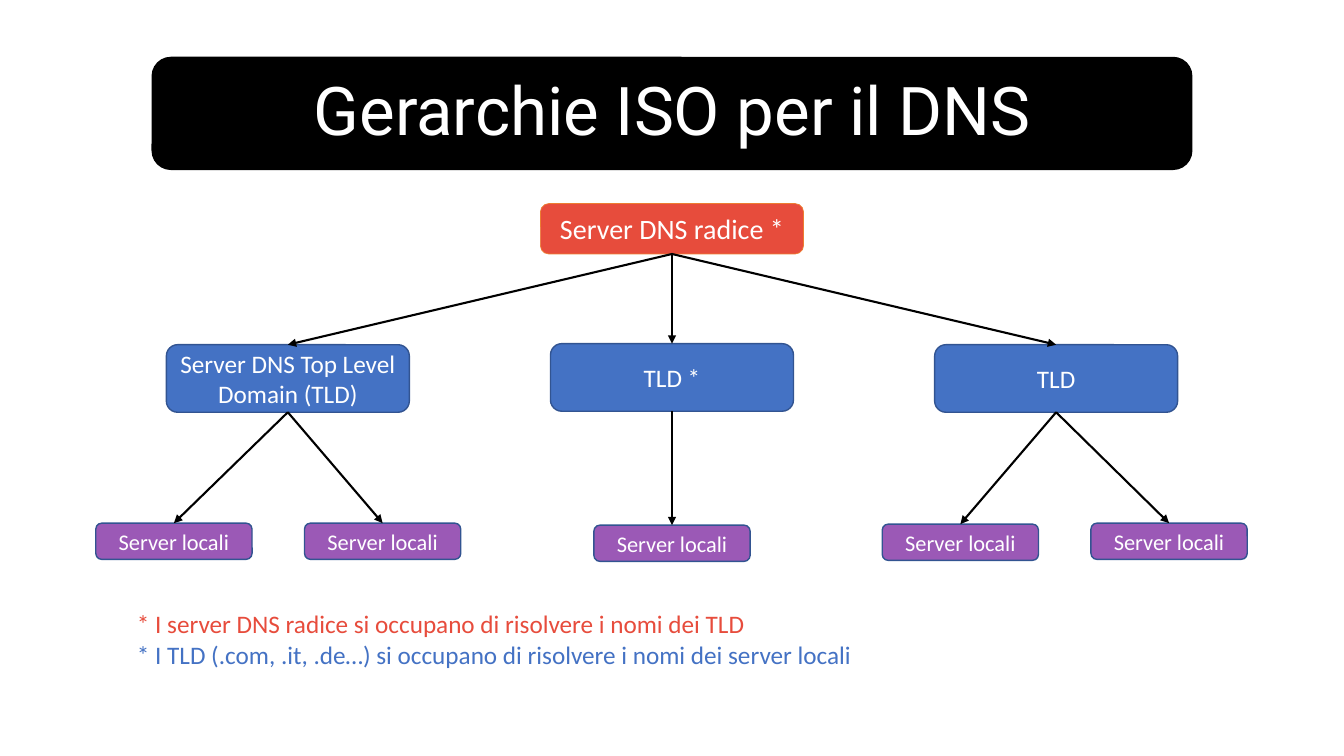
from dataclasses import dataclass

from lxml import etree
from pptx import Presentation
from pptx import util as u
from pptx.dml.color import RGBColor
from pptx.enum import shapes, text
from pptx.oxml import ns


@dataclass(frozen=True)
class Theme:
    black: str = "000000"
    white: str = "FFFFFF"
    red: str = "E74C3C"
    orange: str = "ED7D31"
    blue: str = "4472C4"
    navy: str = "325491"
    purple: str = "9B59B6"
    title_font: str = "Roboto"
    body_font: str = "Calibri"
    title_size: int = 48
    root_size: int = 20
    body_size: int = 18
    local_size: int = 16


THEME = Theme()


@dataclass(frozen=True)
class Level:
    """Size, colours and type of the boxes on one level of the tree."""
    width: float
    height: float
    fill: str
    line: str
    line_width: float
    size: int


ROOT = Level(2.61, 0.5, THEME.red, THEME.orange, 0.5, THEME.root_size)
TLD = Level(2.41, 0.67, THEME.blue, THEME.navy, 1, THEME.body_size)
LOCAL = Level(1.55, 0.36, THEME.purple, THEME.navy, 1, THEME.local_size)

# Each domain: label, offset of its top, then (centre offset, top offset) of its local servers
DOMAINS = [
    ("Server DNS Top Level Domain (TLD)", 1.4, [(-1.13, 3.17), (0.94, 3.17)]),
    ("TLD *", 1.39, [(0, 3.19)]),
    ("TLD", 1.4, [(-0.95, 3.18), (1.12, 3.17)]),
]
NOTES = [
    ("* I server DNS radice si occupano di risolvere i nomi dei TLD", THEME.red),
    ("* I TLD (.com, .it, .de…) si occupano di risolvere i nomi dei server locali", THEME.blue),
]


def write(p, words, size, color, font=THEME.body_font, **paragraph_format):
    for name, value in paragraph_format.items():
        setattr(p, name, value)
    r = p.add_run()
    r.text = words
    for name, value in {"name": font, "size": u.Pt(size)}.items():
        setattr(r.font, name, value)
    r.font.color.rgb = RGBColor.from_string(color)


def add_round_box(s, left, top, width, height, fill, line, line_width):
    sp = s.shapes.add_shape(shapes.MSO_SHAPE.ROUNDED_RECTANGLE,
                            *map(u.Inches, (left, top, width, height)))
    sp.shadow.inherit = False
    sp.fill.solid()
    sp.fill.fore_color.rgb = RGBColor.from_string(fill)
    sp.line.color.rgb = RGBColor.from_string(line)
    sp.line.width = u.Pt(line_width)
    return sp


def add_node(s, level, center, top, label):
    sp = add_round_box(s, center - level.width / 2, top, level.width, level.height,
                       level.fill, level.line, level.line_width)
    tf = sp.text_frame
    tf.word_wrap = True
    tf.vertical_anchor = text.MSO_ANCHOR.MIDDLE
    write(tf.paragraphs[0], label, level.size, THEME.white, alignment=text.PP_ALIGN.CENTER)
    return sp


def add_arrow(s, parent, child):
    """Join the bottom of the parent to the top of the child."""
    line = s.shapes.add_connector(shapes.MSO_CONNECTOR.STRAIGHT, 0, 0, 0, 0)
    line.begin_connect(parent, 2)
    line.end_connect(child, 0)
    line.line.color.rgb = RGBColor.from_string(THEME.black)
    line.line.width = u.Pt(1.5)
    etree.SubElement(line.line._get_or_add_ln(), ns.qn("a:tailEnd"), type="triangle")
    etree.SubElement(line.element.spPr, ns.qn("a:effectLst"))


def add_title(s, left, top, width, height):
    """Place the title over a black bar inset in its box."""
    title = s.shapes.title
    box = {"left": left, "top": top, "width": width, "height": height}
    for name, value in box.items():
        setattr(title, name, u.Inches(value))
    bar = add_round_box(s, left + 0.59, top + 0.17, width - 1.19, height - 0.34,
                        THEME.black, THEME.black, 1)
    title.element.addprevious(bar.element)
    tf = title.text_frame
    tf.auto_size = text.MSO_AUTO_SIZE.NONE
    tf.vertical_anchor = text.MSO_ANCHOR.MIDDLE
    write(tf.paragraphs[0], "Gerarchie ISO per il DNS", THEME.title_size, THEME.white,
          THEME.title_font, alignment=text.PP_ALIGN.CENTER, line_spacing=0.9)


def add_tree(s, left, top, width):
    """Place the root at the top centre and the domains at equal steps."""
    center = left + width / 2
    step = 3.81
    links = []
    root = add_node(s, ROOT, center, top, "Server DNS radice *")
    for i, (label, drop, local_servers) in enumerate(DOMAINS):
        x = center + (i - 1) * step
        domain = add_node(s, TLD, x, top + drop, label)
        links.append((root, domain))
        for dx, dy in local_servers:
            links.append((domain, add_node(s, LOCAL, x + dx, top + dy, "Server locali")))
    for parent, child in links:
        add_arrow(s, parent, child)


def add_notes(s, left, top, width, height):
    tf = s.shapes.add_textbox(*map(u.Inches, (left, top, width, height))).text_frame
    tf.word_wrap = True
    tf.auto_size = text.MSO_AUTO_SIZE.SHAPE_TO_FIT_TEXT
    for i, (words, color) in enumerate(NOTES):
        p = tf.add_paragraph() if i else tf.paragraphs[0]
        write(p, words, THEME.body_size, color)


def main():
    prs = Presentation()
    prs.slide_width, prs.slide_height = u.Inches(13.33), u.Inches(7.5)
    s = prs.slides.add_slide(prs.slide_layouts.get_by_name("Title Only"))
    add_title(s, 0.92, 0.4, 11.5, 1.45)
    add_tree(s, 0.95, 2.02, 11.43)
    add_notes(s, 1.26, 5.99, 7.7, 0.71)
    prs.save("out.pptx")


if __name__ == "__main__":
    main()
